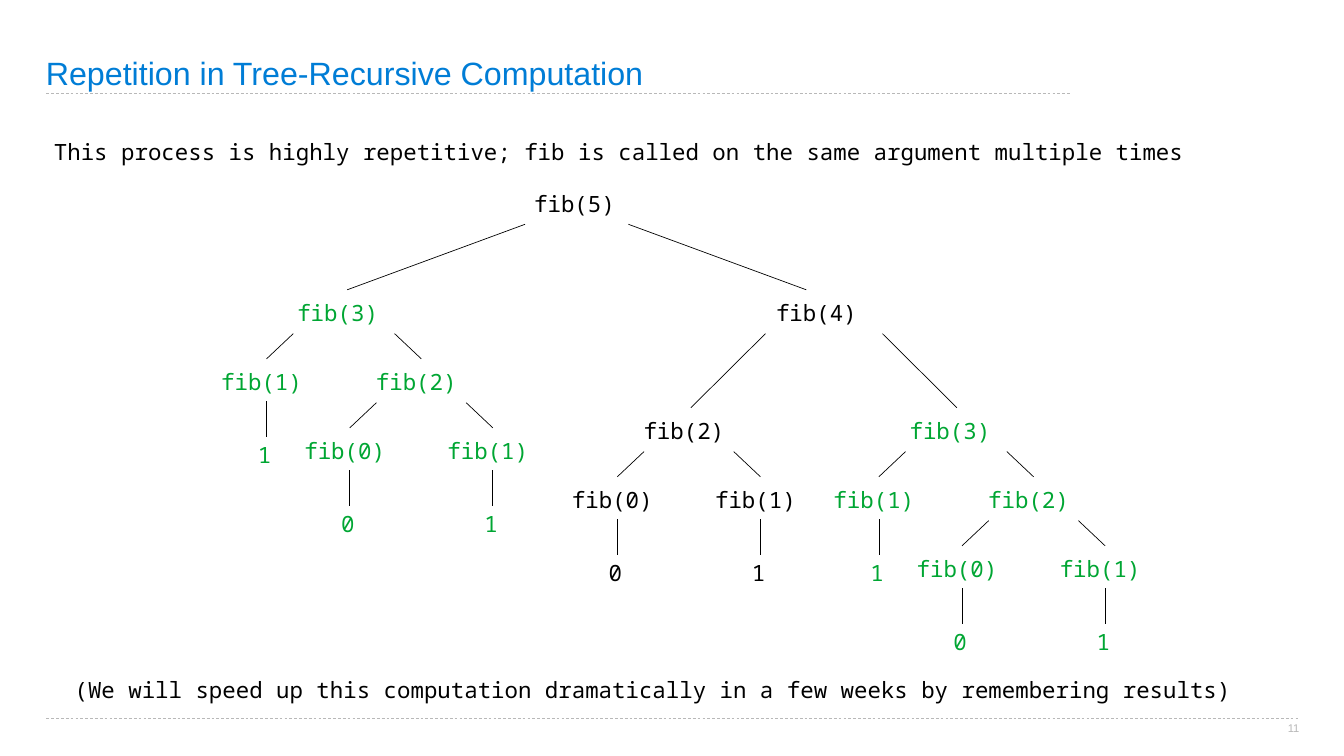
from dataclasses import dataclass

from lxml import etree
from pptx import Presentation
from pptx import util as u
from pptx.dml.color import RGBColor
from pptx.enum import dml, shapes, text
from pptx.oxml import ns

COLUMNS, ROWS = 26.67, 15  # grid cells are one inch square
COLORS = {"title": "007DD6", "ink": "000000", "repeat": "00A633", "rule": "B8B8B8"}
MONO, SANS = "Noto Sans Mono", "Arial"
NODE_WIDTH, NODE_HEIGHT = 2.03, 0.71
MIDDLE = 1.05  # from a node's left edge to its stem
VALUE_WIDTH = 0.57


@dataclass
class Fork:
    """Offsets from a call to its two child calls, and the shape of its edges."""
    left: float
    right: float
    drop: float
    run: float
    left_foot: float = MIDDLE
    right_foot: float = MIDDLE


FORKS = {
    2: Fork(-1.42, 1.42, 1.37, 0.53),
    3: Fork(-1.51, 1.56, 1.37, 0.53),
    4: Fork(-2.63, 2.65, 2.34, 1.48, 1.09, 1.09),
    5: Fork(-4.7, 4.8, 2.17, 3.53, 1.14, 0.75),
}


def write(frame, words, *, size=32, font=MONO, color="ink",
          align=text.PP_ALIGN.LEFT, anchor=text.MSO_ANCHOR.MIDDLE,
          insets=(0.15, 0.06, 0.06, 0.06), wrap=True, spacing=None):
    frame.auto_size = text.MSO_AUTO_SIZE.NONE
    frame.word_wrap = wrap
    frame.vertical_anchor = anchor
    (frame.margin_left, frame.margin_top,
     frame.margin_right, frame.margin_bottom) = map(u.Inches, insets)
    para = frame.paragraphs[0]
    para.alignment = align
    if spacing:
        para.line_spacing = spacing
    span = para.add_run()
    span.text = words
    span.font.size = u.Pt(size)
    span.font.name = font
    span.font.color.rgb = RGBColor.from_string(COLORS[color])


class Painter:
    def __init__(self, deck):
        self.page = deck.slides.add_slide(deck.slide_layouts[5])

    def title(self, words, col, row, width, height):
        box = self.page.shapes.title
        box.left, box.top, box.width, box.height = map(u.Inches, (col, row, width, height))
        write(box.text_frame, words, size=46, font=SANS, color="title",
              anchor=text.MSO_ANCHOR.BOTTOM, insets=(0, 0, 0, 0), spacing=0.9)

    def label(self, words, col, row, width, height, **style):
        box = self.page.shapes.add_textbox(*map(u.Inches, (col, row, width, height)))
        write(box.text_frame, words, **style)

    def line(self, start, end, color="ink", dash=None):
        line = self.page.shapes.add_connector(
            shapes.MSO_CONNECTOR.STRAIGHT, *map(u.Inches, (*start, *end)))
        line.line.color.rgb = RGBColor.from_string(COLORS[color])
        line.line.width = u.Pt(1)
        if dash:
            line.line.dash_style = dash
        etree.SubElement(line._element.spPr, ns.qn("a:effectLst"))

    def call_tree(self, n, col, row, color="ink"):
        """Draw fib(n) and all calls below it; every fib(3) subtree is a repeat."""
        if n == 3:
            color = "repeat"
        self.label(f"fib({n})", col, row, NODE_WIDTH, NODE_HEIGHT, color=color)
        if n < 2:
            stem = col + MIDDLE
            self.line((stem, row + 0.74), (stem, row + 1.45))
            self.label(str(n), col + 0.73, row + 1.45, VALUE_WIDTH, NODE_HEIGHT, color=color)
            return
        fork = FORKS[n]
        child_row = row + fork.drop
        for child, shift, foot, run in (
                (n - 2, fork.left, fork.left_foot, fork.run),
                (n - 1, fork.right, fork.right_foot, -fork.run)):
            child_col = col + shift
            end = child_col + foot
            self.line((end + run, row + 0.77), (end, child_row - 0.1))
            self.call_tree(child, child_col, child_row, color)


def main():
    deck = Presentation()
    deck.slide_width, deck.slide_height = u.Inches(COLUMNS), u.Inches(ROWS)
    painter = Painter(deck)
    for row, right in ((1.86, 21.26), (14.26, 25.78)):
        painter.line((0.92, row), (right, row), "rule", dml.MSO_LINE.DASH)
    painter.title("Repetition in Tree-Recursive Computation", 0.91, 0, 20.31, 1.83)
    painter.call_tree(5, 10.45, 3.68)
    painter.label("This process is highly repetitive; fib is called on the same "
                  "argument multiple times", 0.92, 2.68, 24.85, 0.92,
                  anchor=text.MSO_ANCHOR.TOP)
    painter.label("11", 25.55, 14.32, 0.24, 0.24, size=16, font=SANS, color="rule",
                  align=text.PP_ALIGN.CENTER, anchor=text.MSO_ANCHOR.TOP,
                  insets=(0, 0, 0, 0), wrap=False)
    painter.label("(We will speed up this computation dramatically in a few weeks "
                  "by remembering results)", 1.33, 12.76, 24.01, 1.83)
    deck.save("out.pptx")


if __name__ == "__main__":
    main()
